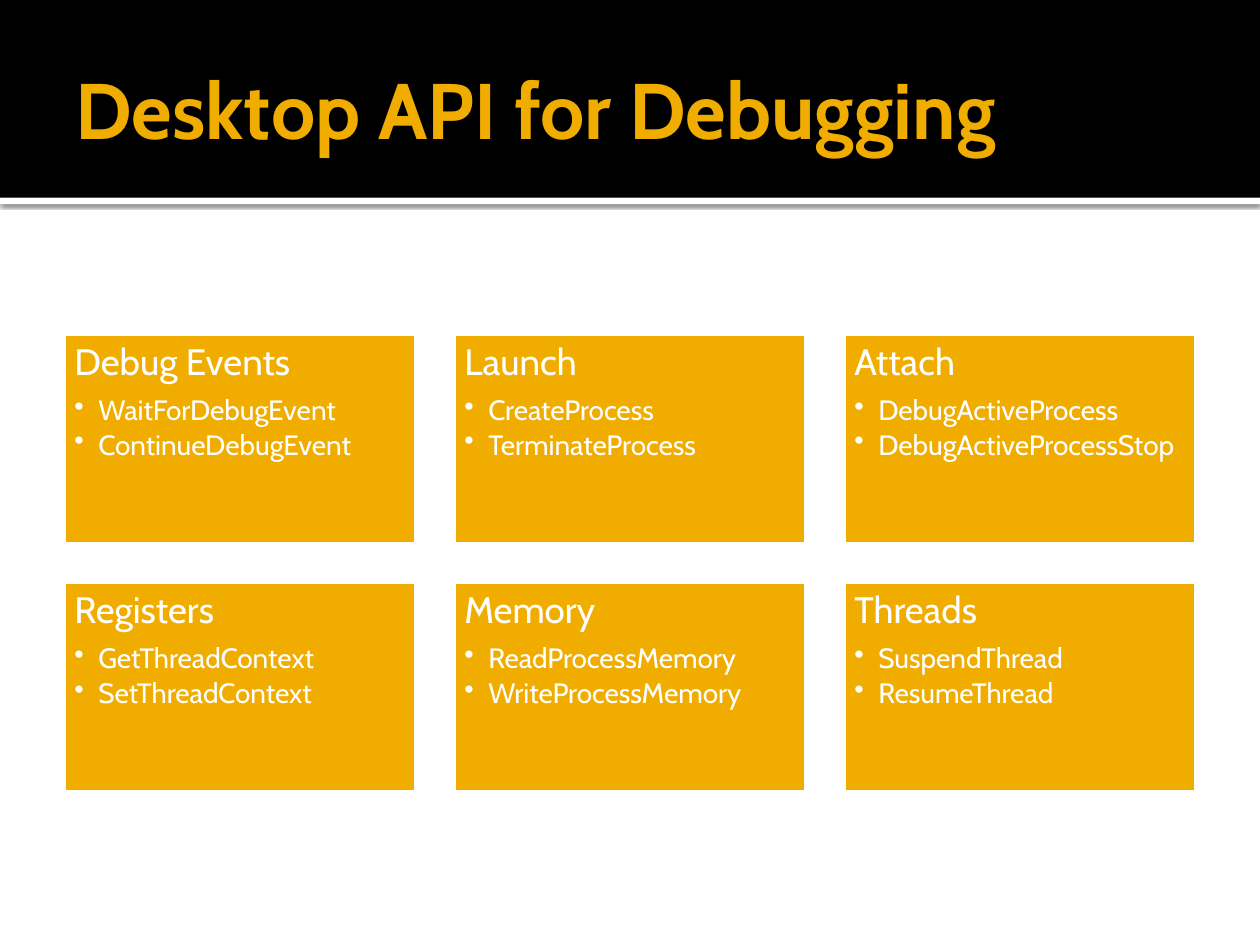
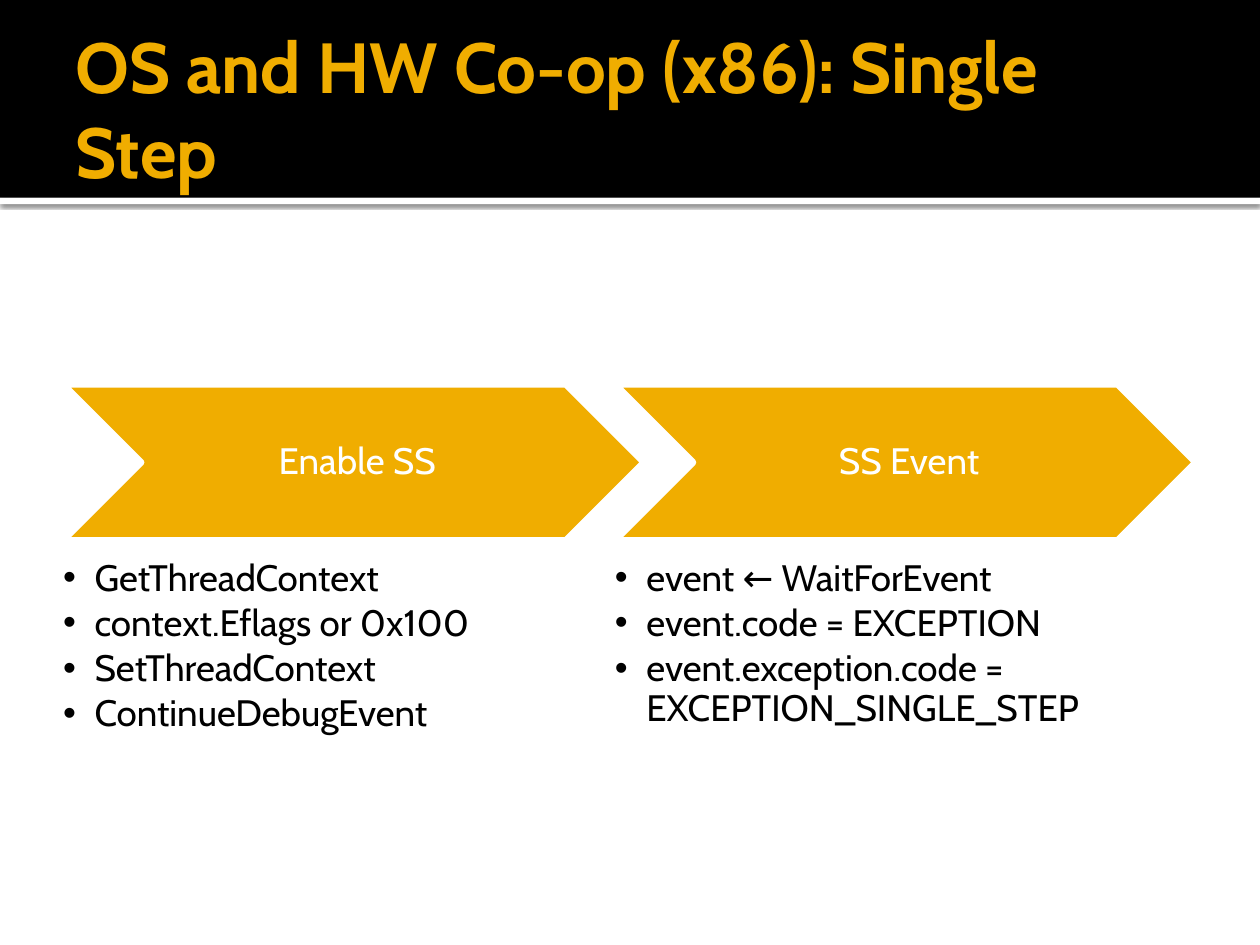
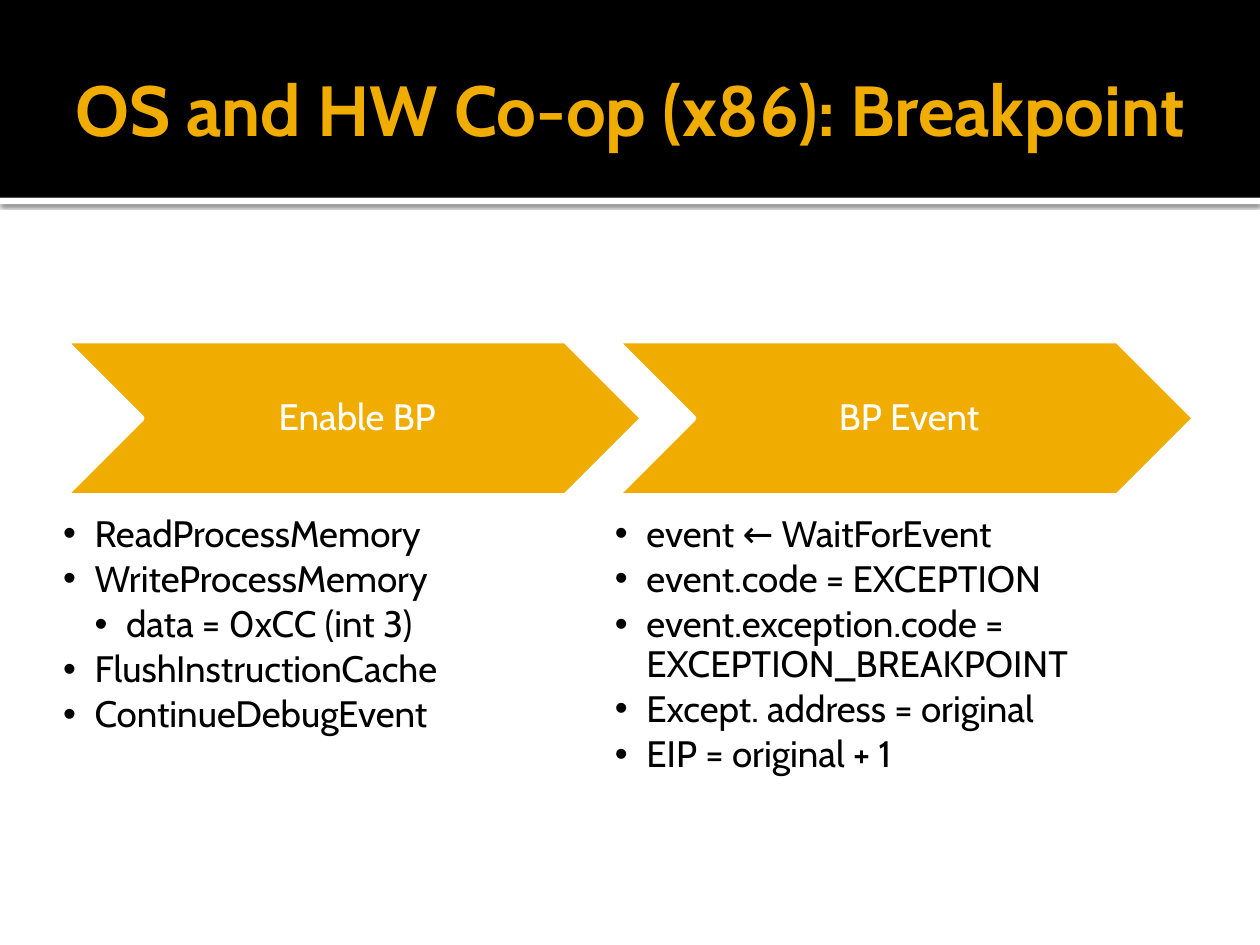
from lxml import etree
from pptx import Presentation
from pptx.dml.color import RGBColor
from pptx.enum.shapes import MSO_SHAPE
from pptx.enum.text import MSO_ANCHOR, MSO_AUTO_SIZE, PP_ALIGN
from pptx.oxml.ns import qn
from pptx.util import Inches, Pt

RECT, CHEVRON = MSO_SHAPE.RECTANGLE, MSO_SHAPE.CHEVRON
TOP, MIDDLE = MSO_ANCHOR.TOP, MSO_ANCHOR.MIDDLE
LEFT, CENTER = PP_ALIGN.LEFT, PP_ALIGN.CENTER
NO_FIT = MSO_AUTO_SIZE.NONE

BLACK = RGBColor(0, 0, 0)
WHITE = RGBColor(255, 255, 255)
AMBER = RGBColor(0xF0, 0xAD, 0)

FONT = "Cabin"
TITLE_BOX = (0.5, 0.17, 9, 1.37)
EDGE = 0.5
SPAN = 9


def apply(target, values):
    for name, value in values.items():
        setattr(target, name, value)


def place(shape, box):
    names = ("left", "top", "width", "height")
    apply(shape, dict(zip(names, map(Inches, box))))


class Deck:
    def __init__(self):
        self.prs = Presentation()
        apply(self.prs, {"slide_width": Inches(10), "slide_height": Inches(7.5)})
        self.slide = None

    def start(self, layout, title, size):
        self.slide = self.prs.slides.add_slide(self.prs.slide_layouts[layout])
        shape = self.slide.shapes.title
        place(shape, TITLE_BOX)
        self.frame(shape, (0.1, 0.05, 0.05, 0.05), MIDDLE)
        self.line(shape.text_frame.paragraphs[0], title, size, AMBER, bold=True)

    def frame(self, shape, insets, anchor):
        names = ("margin_left", "margin_top", "margin_right", "margin_bottom")
        apply(shape.text_frame, {
            **dict(zip(names, map(Inches, insets))),
            "word_wrap": True,
            "auto_size": NO_FIT,
            "vertical_anchor": anchor,
        })

    def line(self, par, text, size, color, bold=False, align=LEFT, pitch=1.0, after=0):
        apply(par, {
            "alignment": align,
            "line_spacing": pitch,
            "space_before": Pt(0),
            "space_after": Pt(size * after),
        })
        run = par.add_run()
        run.text = text
        apply(run.font, {"name": FONT, "size": Pt(size), "bold": bold})
        run.font.color.rgb = color

    def bullet(self, par, text, size, color, step, depth=1):
        par.level = depth
        self.line(par, text, size, color, pitch=0.9, after=0.15)
        props = par._p.get_or_add_pPr()
        props.set("marL", str(Inches(step * depth)))
        props.set("indent", str(-Inches(step)))
        etree.SubElement(props, qn("a:buChar")).set("char", "•")

    def block(self, kind, box, fill, border=None):
        shape = self.slide.shapes.add_shape(kind, *map(Inches, box))
        shape.shadow.inherit = False
        shape.fill.solid()
        shape.fill.fore_color.rgb = fill
        if border:
            shape.line.color.rgb = WHITE
            shape.line.width = Pt(border)
        else:
            shape.line.fill.background()
        return shape

    def band(self):
        strip = self.block(RECT, (0, 1.57, 10, 0.05), WHITE)
        effects = strip._element.spPr.find(qn("a:effectLst"))
        shadow = etree.SubElement(effects, qn("a:outerShdw"))
        for name, value in {"blurRad": Pt(2.5), "dist": Pt(0.8), "dir": 5400000}.items():
            shadow.set(name, str(value))
        tint = etree.SubElement(shadow, qn("a:srgbClr"))
        tint.set("val", str(BLACK))
        etree.SubElement(tint, qn("a:alpha")).set("val", "60000")
        head = self.block(RECT, (0, 0, 10, 1.57), BLACK)
        tree = self.prs.slide_master.shapes._spTree
        for rank, shape in enumerate((strip, head)):
            shape._element.nvSpPr.cNvPr.set("id", str(100 + rank))
            tree.insert(2 + rank, shape._element)

    def card(self, box, head, items):
        shape = self.block(RECT, box, AMBER, 3.78)
        self.frame(shape, (0.09,) * 4, TOP)
        text = shape.text_frame
        self.line(text.paragraphs[0], head, 21, WHITE, pitch=0.9, after=0.35)
        for item in items:
            self.bullet(text.add_paragraph(), item, 16, WHITE, 0.19)

    def arrow(self, box, label):
        shape = self.block(CHEVRON, box, AMBER, 3.78)
        self.frame(shape, (0.09, 0.03, 0.03, 0.03), MIDDLE)
        self.line(shape.text_frame.paragraphs[0], label, 21, WHITE,
                  align=CENTER, pitch=0.9, after=0.35)

    def list(self, holder, box, items):
        place(holder, box)
        self.frame(holder, (0,) * 4, TOP)
        text = holder.text_frame
        for rank, (item, depth) in enumerate(items):
            par = text.add_paragraph() if rank else text.paragraphs[0]
            self.bullet(par, item, 21, BLACK, 0.25, depth)

    def grid(self, cards, top, cols=3, width=2.81, height=1.69, gap=0.28):
        step = (SPAN - width) / (cols - 1)
        for rank, (head, items) in enumerate(cards):
            row, col = divmod(rank, cols)
            box = (EDGE + col * step, top + row * (height + gap), width, height)
            self.card(box, head, items)

    def flow(self, stages, top, depth):
        width, height, step = 4.61, 1.24, 4.38
        for rank, (label, items) in enumerate(stages):
            left = EDGE + rank * step
            self.arrow((left, top, width, height), label)
            holder = self.slide.placeholders[rank + 1]
            self.list(holder, (left, top + height + 0.15, 3.69, depth), items)


TITLE_ONLY, TWO_LISTS = 5, 3

CARDS = [
    ("Debug Events", ["WaitForDebugEvent", "ContinueDebugEvent"]),
    ("Launch", ["CreateProcess", "TerminateProcess"]),
    ("Attach", ["DebugActiveProcess", "DebugActiveProcessStop"]),
    ("Registers", ["GetThreadContext", "SetThreadContext"]),
    ("Memory", ["ReadProcessMemory", "WriteProcessMemory"]),
    ("Threads", ["SuspendThread", "ResumeThread"]),
]
EVENT = [("event ← WaitForEvent", 1), ("event.code = EXCEPTION", 1)]
STEP = [
    ("Enable SS", [
        ("GetThreadContext", 1),
        ("context.Eflags or 0x100", 1),
        ("SetThreadContext", 1),
        ("ContinueDebugEvent", 1),
    ]),
    ("SS Event", EVENT + [("event.exception.code = EXCEPTION_SINGLE_STEP", 1)]),
]
BREAK = [
    ("Enable BP", [
        ("ReadProcessMemory", 1),
        ("WriteProcessMemory", 1),
        ("data = 0xCC (int 3)", 2),
        ("FlushInstructionCache", 1),
        ("ContinueDebugEvent", 1),
    ]),
    ("BP Event", EVENT + [
        ("event.exception.code = EXCEPTION_BREAKPOINT", 1),
        ("Except. address = original", 1),
        ("EIP = original + 1", 1),
    ]),
]

deck = Deck()
deck.start(TITLE_ONLY, "Desktop API for Debugging", 45)
deck.band()
deck.grid(CARDS, 2.64)

deck.start(TWO_LISTS, "OS and HW Co-op (x86): Single Step", 40.5)
deck.flow(STEP, 3.05, 1.45)

deck.start(TWO_LISTS, "OS and HW Co-op (x86): Breakpoint", 40.5)
deck.flow(BREAK, 2.7, 2.15)

deck.prs.save("out.pptx")
